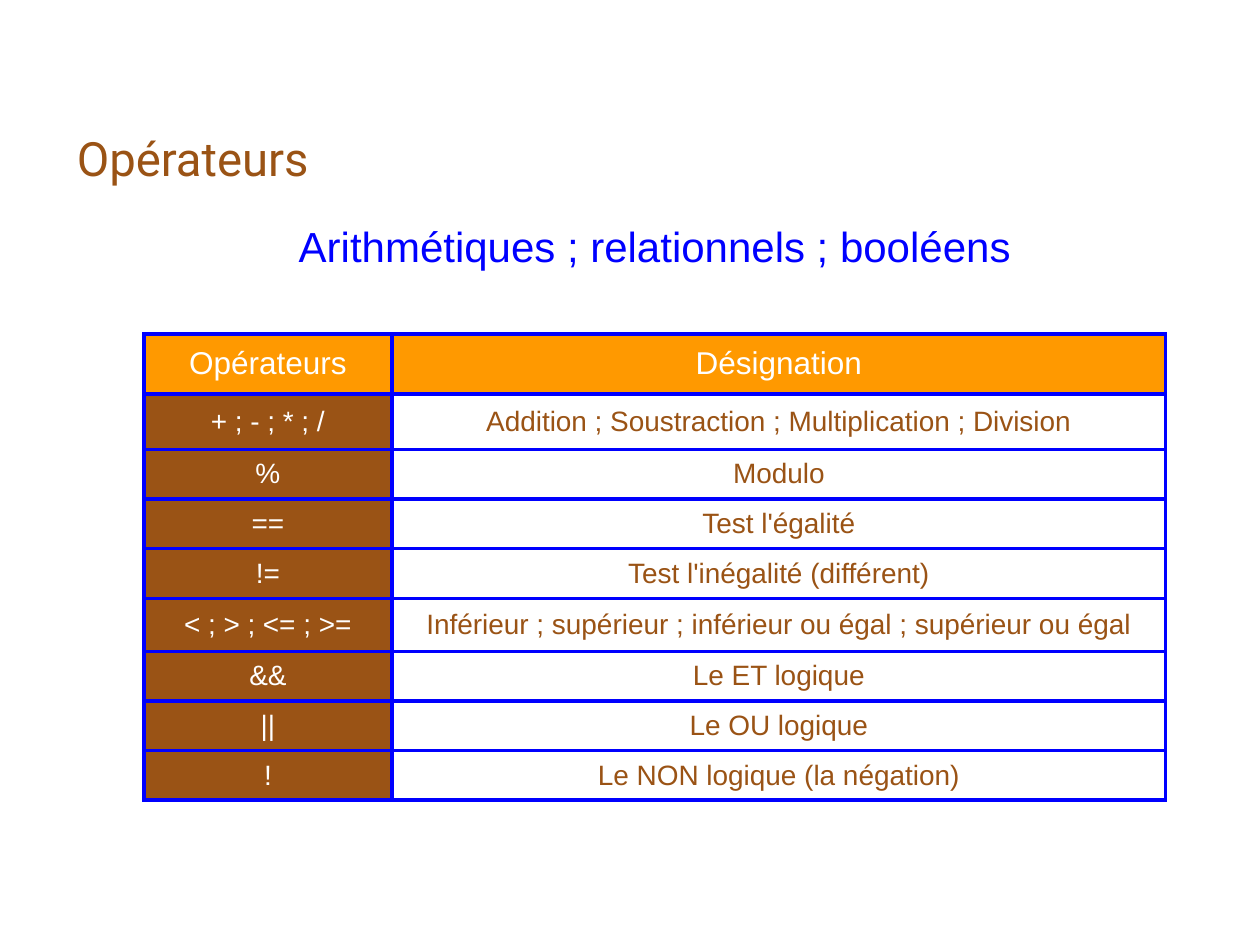
from lxml.etree import SubElement
from pptx import Presentation
from pptx.dml.color import RGBColor
from pptx.enum.text import MSO_ANCHOR as Anchor, MSO_AUTO_SIZE as AutoSize, PP_ALIGN as Align
from pptx.oxml.ns import qn
from pptx.util import Cm, Pt

COLORS = {
    "brown": "9A5315",
    "orange": "FF9900",
    "blue": "0000FF",
    "white": "FFFFFF",
}

HEADER = ("Opérateurs", "Désignation")
OPERATORS = [
    ("+ ; - ; * ; /", "Addition ; Soustraction ; Multiplication ; Division"),
    ("%", "Modulo"),
    ("==", "Test l'égalité"),
    ("!=", "Test l'inégalité (différent)"),
    ("< ; > ; <= ; >=", "Inférieur ; supérieur ; inférieur ou égal ; supérieur ou égal"),
    ("&&", "Le ET logique"),
    ("||", "Le OU logique"),
    ("!", "Le NON logique (la négation)"),
]
COLUMN_WIDTHS = (5, 15.6)
ROW_HEIGHTS = (1.21, 1.12, 1, 1, 1, 1.07, 1, 1, 1)


def write(frame, text, *, size, color, font="Arial", align=Align.CENTER, spacing=None):
    """Put one formatted line of text in a text frame."""
    para = frame.paragraphs[0]
    para.alignment = align
    para.line_spacing = spacing
    span = para.add_run()
    span.text = text
    span.font.name = font
    span.font.size = Pt(size)
    span.font.color.rgb = RGBColor.from_string(COLORS[color])


def add_text(page, text, left, top, width, height, *, anchor=Anchor.TOP,
             grow=False, **text_format):
    box = page.shapes.add_textbox(Cm(left), Cm(top), Cm(width), Cm(height))
    frame = box.text_frame
    frame.word_wrap = True
    frame.vertical_anchor = anchor
    frame.auto_size = AutoSize.SHAPE_TO_FIT_TEXT if grow else AutoSize.NONE
    write(frame, text, **text_format)


def add_borders(cell, color, width):
    properties = cell._tc.get_or_add_tcPr()
    for side in ("a:lnL", "a:lnR", "a:lnT", "a:lnB"):
        line = SubElement(properties, qn(side), w=str(Pt(width)))
        fill = SubElement(line, qn("a:solidFill"))
        SubElement(fill, qn("a:srgbClr"), val=COLORS[color])


def format_cell(cell, text, *, fill=None, **text_format):
    add_borders(cell, "blue", 2.25)
    if fill:
        cell.fill.solid()
        cell.fill.fore_color.rgb = RGBColor.from_string(COLORS[fill])
    else:
        cell.fill.background()
    cell.vertical_anchor = Anchor.MIDDLE
    write(cell.text_frame, text, **text_format)


def add_operator_table(page, left, top):
    table = page.shapes.add_table(
        len(ROW_HEIGHTS), len(COLUMN_WIDTHS), Cm(left), Cm(top),
        Cm(sum(COLUMN_WIDTHS)), Cm(sum(ROW_HEIGHTS))).table
    table.first_row = table.horz_banding = False
    for column, width in zip(table.columns, COLUMN_WIDTHS):
        column.width = Cm(width)
    for row, height in zip(table.rows, ROW_HEIGHTS):
        row.height = Cm(height)

    # Header row
    for index, label in enumerate(HEADER):
        format_cell(table.cell(0, index), label, fill="orange", size=18, color="white")

    # One row per group of operators
    for index, (symbols, meaning) in enumerate(OPERATORS, start=1):
        format_cell(table.cell(index, 0), symbols, fill="brown", size=16, color="white")
        format_cell(table.cell(index, 1), meaning, size=16, color="brown")


def main():
    deck = Presentation()
    deck.slide_width, deck.slide_height = Cm(25.4), Cm(19.05)
    page = deck.slides.add_slide(deck.slide_layouts[6])

    # Title
    add_text(page, "Opérateurs", 1.3, 0.71, 22.86, 3.18, anchor=Anchor.BOTTOM,
             size=27, color="brown", font="Roboto", align=Align.LEFT, spacing=0.9)
    # Table
    add_operator_table(page, 2.9, 6.73)
    # Subtitle
    add_text(page, "Arithmétiques ; relationnels ; booléens", 4.5, 4.32, 17.4, 1.27,
             grow=True, size=24, color="blue")

    deck.save("out.pptx")


if __name__ == "__main__":
    main()
